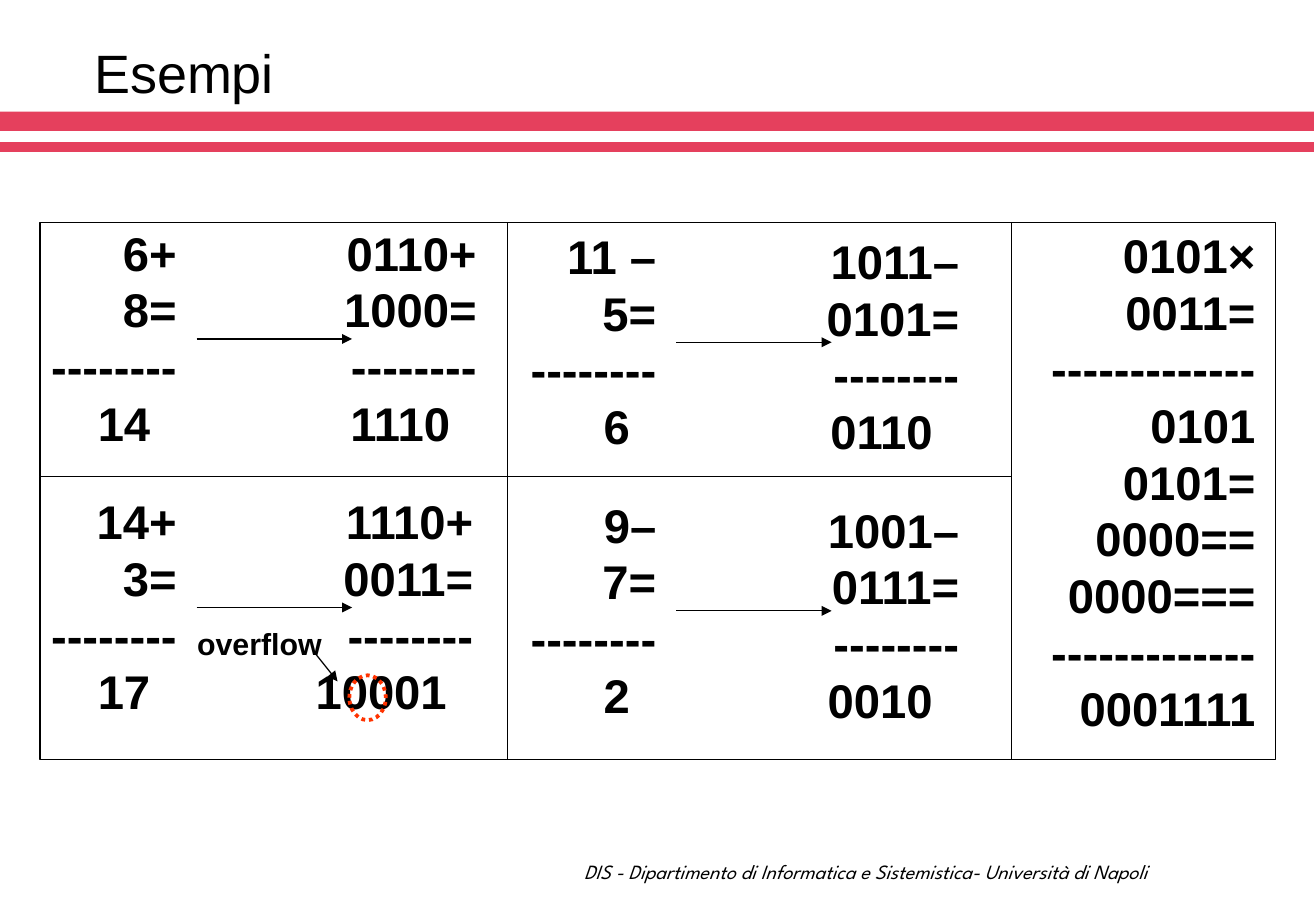
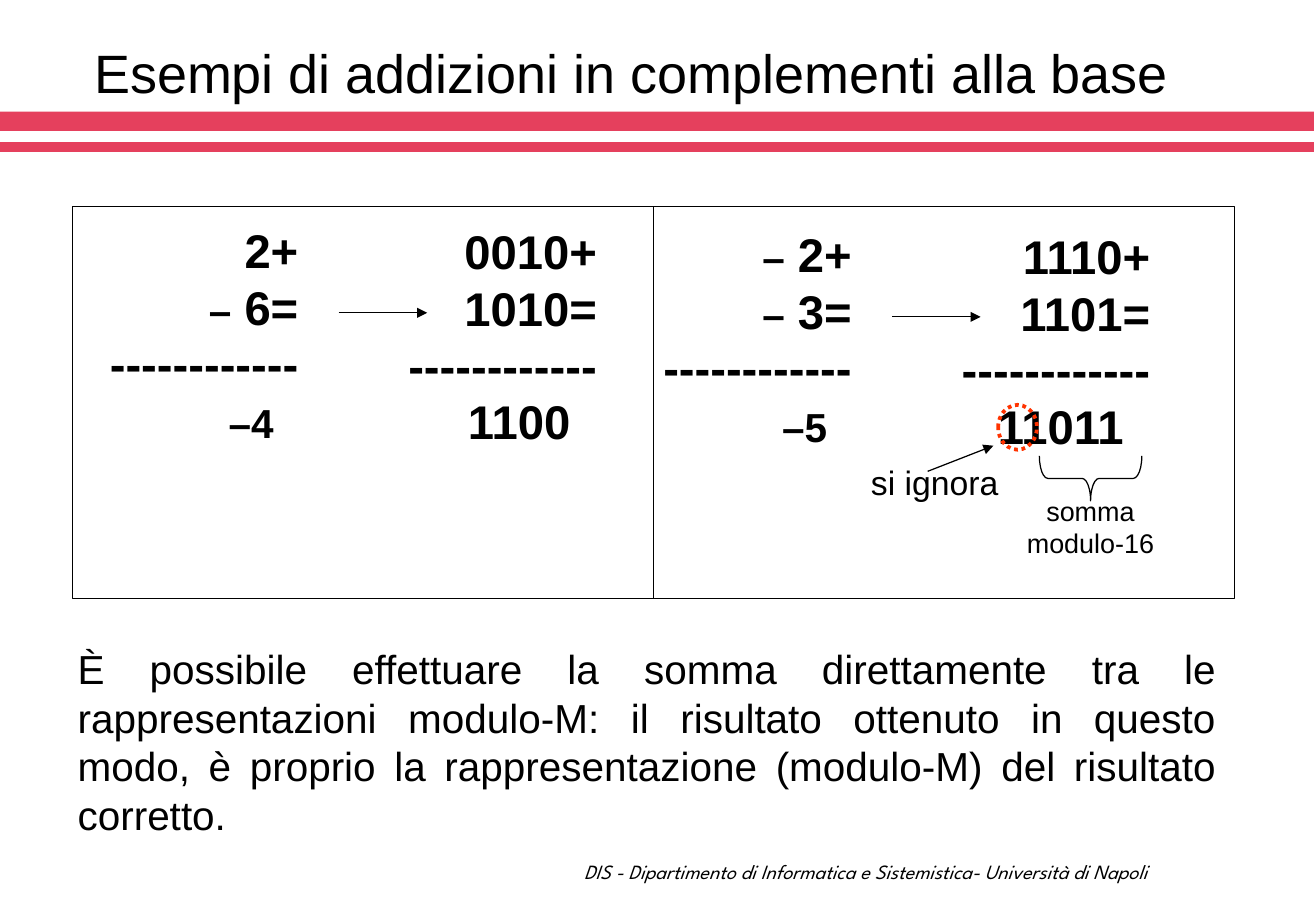
from typing import NamedTuple

from lxml import etree
from pptx import Presentation
from pptx.dml.color import RGBColor
from pptx.enum import dml, shapes, text
from pptx.oxml import ns
from pptx.util import Pt

COLORS = {"band": "E5405D", "ink": "000000", "highlight": "FF3300"}
FONT, FOOTER_FONT = "Arial", "League Spartan"
FOOTER = "DIS - Dipartimento di Informatica e Sistemistica- Università di Napoli"
SLIDE_W, SLIDE_H = 780.48, 540
DIGIT_SIZE, MINUS_SIZE = 28, 24
LINE_FACTOR = 1.2
SPACE_WIDTH = 0.28  # of the text size
LEFT, CENTER = text.PP_ALIGN.LEFT, text.PP_ALIGN.CENTER
RIGHT, JUSTIFY = text.PP_ALIGN.RIGHT, text.PP_ALIGN.JUSTIFY
SHAPE = shapes.MSO_SHAPE


class SumLayout(NamedTuple):
    """Places inside a worked sum, measured from its top left corner."""
    decimal_width: float
    binary_width: float
    arrow_start: float
    arrow_end: float
    arrow_y: float


SMALL = SumLayout(80, 100, 91.8, 184, 68.1)
LARGE = SumLayout(120, 120, 144, 196.5, 54.2)


def color(name):
    return RGBColor.from_string(COLORS[name])


def style_font(font, size, name=FONT, bold=False, italic=False):
    font.name, font.size = name, Pt(size)
    font.bold, font.italic = bold, italic
    font.color.rgb = color("ink")


def add_right_tab(para, position):
    tabs = etree.SubElement(para._p.get_or_add_pPr(), ns.qn("a:tabLst"))
    etree.SubElement(tabs, ns.qn("a:tab"), pos=str(Pt(position)), algn="r")


def add_text(page, left, top, width, lines, size, align, bold=False, result_line=None):
    """Write lines; a line is a string or a list of (string, size) spans."""
    spacing = size * LINE_FACTOR
    box = page.shapes.add_textbox(Pt(left), Pt(top), Pt(width), Pt(spacing * len(lines)))
    frame = box.text_frame
    frame.word_wrap = True
    frame.margin_left = frame.margin_right = frame.margin_top = frame.margin_bottom = 0
    for index, line in enumerate(lines):
        para = frame.paragraphs[0] if index == 0 else frame.add_paragraph()
        para.alignment = align
        para.line_spacing = Pt(spacing)
        spans = [(line, size)] if isinstance(line, str) else line
        if index == result_line:
            # The result stands two spaces left of the operators
            para.alignment = LEFT
            add_right_tab(para, width - SPACE_WIDTH * (size + spans[0][1]))
            spans = [("\t", size)] + spans
        style_font(para.font, size, bold=bold)
        for words, span_size in spans:
            span = para.add_run()
            span.text = words
            if span_size != size:
                span.font.size = Pt(span_size)


def add_arrow(page, x1, y1, x2, y2):
    arrow = page.shapes.add_connector(
        shapes.MSO_CONNECTOR.STRAIGHT, Pt(x1), Pt(y1), Pt(x2), Pt(y2))
    arrow.line.color.rgb = color("ink")
    arrow.line.width = Pt(0.75)
    etree.SubElement(arrow.line._get_or_add_ln(), ns.qn("a:tailEnd"), type="triangle")
    etree.SubElement(arrow._element.spPr, ns.qn("a:effectLst"))


def add_outline(page, kind, left, top, width, height, line="ink", weight=0.75):
    outline = page.shapes.add_shape(kind, Pt(left), Pt(top), Pt(width), Pt(height))
    outline.shadow.inherit = False
    outline.fill.background()
    outline.line.color.rgb = color(line)
    outline.line.width = Pt(weight)
    return outline


def add_highlight(page, left, top, width, height):
    ring = add_outline(page, SHAPE.OVAL, left, top, width, height, "highlight", 2.25)
    ring.line.dash_style = dml.MSO_LINE.ROUND_DOT


def add_sum(page, left, top, layout, decimal, binary, binary_right, binary_drop=0):
    """A decimal sum, an arrow and the same sum in binary."""
    add_text(page, left, top, layout.decimal_width, decimal, DIGIT_SIZE, RIGHT,
             bold=True, result_line=3)
    add_text(page, left + binary_right - layout.binary_width, top + binary_drop,
             layout.binary_width, binary, DIGIT_SIZE, RIGHT, bold=True, result_line=3)
    add_arrow(page, left + layout.arrow_start, top + layout.arrow_y,
              left + layout.arrow_end, top + layout.arrow_y)


def add_page(deck, title):
    """A slide with the title, bands and footer that all slides share."""
    page = deck.slides.add_slide(deck.slide_layouts[5])
    # Bands
    for top, height in ((66.2, 11.5), (84.2, 5.8)):
        band = page.shapes.add_shape(SHAPE.RECTANGLE, 0, Pt(top), Pt(779.3), Pt(height))
        band.shadow.inherit = False
        band.fill.solid()
        band.fill.fore_color.rgb = color("band")
        band.line.fill.background()
    # Title
    heading = page.shapes.title
    heading.left, heading.top, heading.width, heading.height = Pt(48.6), Pt(15), Pt(683.3), Pt(50.5)
    frame = heading.text_frame
    frame.text = title
    frame.auto_size = text.MSO_AUTO_SIZE.NONE
    frame.vertical_anchor = text.MSO_ANCHOR.BOTTOM
    frame.paragraphs[0].alignment = LEFT
    style_font(frame.paragraphs[0].font, 32)
    # Footer
    box = page.shapes.add_textbox(Pt(324), Pt(505.8), Pt(379.4), Pt(21.6))
    box.text_frame.word_wrap = False
    box.text_frame.vertical_anchor = text.MSO_ANCHOR.MIDDLE
    para = box.text_frame.paragraphs[0]
    para.text = FOOTER
    para.alignment = CENTER
    style_font(para.font, 12, FOOTER_FONT, italic=True)
    return page


def build_examples(deck):
    page = add_page(deck, "Esempi")
    rule = "-" * 8
    # Sums: left, top, decimal, binary, right edge and drop of the binary part
    row_step = 159.2
    sums = [
        (24.8, 132.8, ["6+", "8=", rule, "14"], ["0110+", "1000=", rule, "1110"], 257.8, 0),
        (24.8, 132.8 + row_step, ["14+", "3=", rule, "17"],
         ["1110+", "0011=", rule, "10001"], 255.8, 0),
        (309.2, 134.8, ["11 –", "5=", rule, "6"], ["1011–", "0101=", rule, "0110"], 259.6, 3),
        (309.2, 134.8 + row_step, ["9–", "7=", rule, "2"],
         ["1001–", "0111=", rule, "0010"], 259.6, 3),
    ]
    for left, top, decimal, binary, right, drop in sums:
        add_sum(page, left, top, SMALL, decimal, binary, right, drop)
    # Overflow note
    add_highlight(page, 207.2, 400.3, 21.6, 26.6)
    add_arrow(page, 185.8, 385.9, 200.2, 403.9)
    add_text(page, 113.9, 370.8, 80, ["overflow"], 18, CENTER, bold=True)
    # Multiplication
    long_rule = "-" * 13
    add_text(page, 614.5, 134.2, 130,
             ["0101×", "0011=", long_rule, "0101", "0101=", "0000==", "0000===",
              long_rule, "0001111"], DIGIT_SIZE, RIGHT, bold=True)
    # Frames: two rows of two cells, and one tall cell
    edges, rows = (23.8, 301.2, 599.8, 756.3), (132, 282.4, 450.3)
    for top, bottom in zip(rows, rows[1:]):
        for left, right in zip(edges[:2], edges[1:3]):
            add_outline(page, SHAPE.RECTANGLE, left, top, right - left, bottom - top)
    add_outline(page, SHAPE.RECTANGLE, edges[2], rows[0], edges[3] - edges[2], rows[2] - rows[0])


def build_complement_sums(deck):
    page = add_page(deck, "Esempi di addizioni in complementi alla base")
    rule = "-" * 12

    def negative(rest):
        return [("–", MINUS_SIZE), (" " + rest, DIGIT_SIZE)]

    # Sums
    add_sum(page, 56.9, 131.2, LARGE, ["2+", negative("6="), rule, [("–4", MINUS_SIZE)]],
            ["0010+", "1010=", rule, "1100"], 297, 0.7)
    add_sum(page, 385.1, 133.6, LARGE,
            [negative("2+"), negative("3="), rule, [("–5", MINUS_SIZE)]],
            ["1110+", "1101=", rule, "11011"], 297, 1.2)
    # Frames
    for column in range(2):
        add_outline(page, SHAPE.RECTANGLE, 43.2 + column * 344.4, 122.4, 344.4, 232.2)
    # Ignored carry
    add_highlight(page, 592, 240, 23, 26.6)
    add_arrow(page, 550.2, 279.4, 589.2, 264.2)
    add_text(page, 509.4, 273.5, 90, ["si ignora"], 20, CENTER)
    # Remaining digits
    brace = add_outline(page, SHAPE.RIGHT_BRACE, 633.5, 253.2, 26.6, 60.8)
    brace.adjustments[0] = 0.19
    brace.rotation = 90
    add_text(page, 601.7, 293.2, 90, ["somma", "modulo-16"], 16, CENTER)
    # Conclusion
    add_text(page, 46, 381.8, 675,
             ["È possibile effettuare la somma direttamente tra le rappresentazioni "
              "modulo-M: il risultato ottenuto in questo modo, è proprio la "
              "rappresentazione (modulo-M) del risultato corretto."], 24, JUSTIFY)


def main():
    deck = Presentation()
    deck.slide_width, deck.slide_height = Pt(SLIDE_W), Pt(SLIDE_H)
    build_examples(deck)
    build_complement_sums(deck)
    deck.save("out.pptx")


if __name__ == "__main__":
    main()
